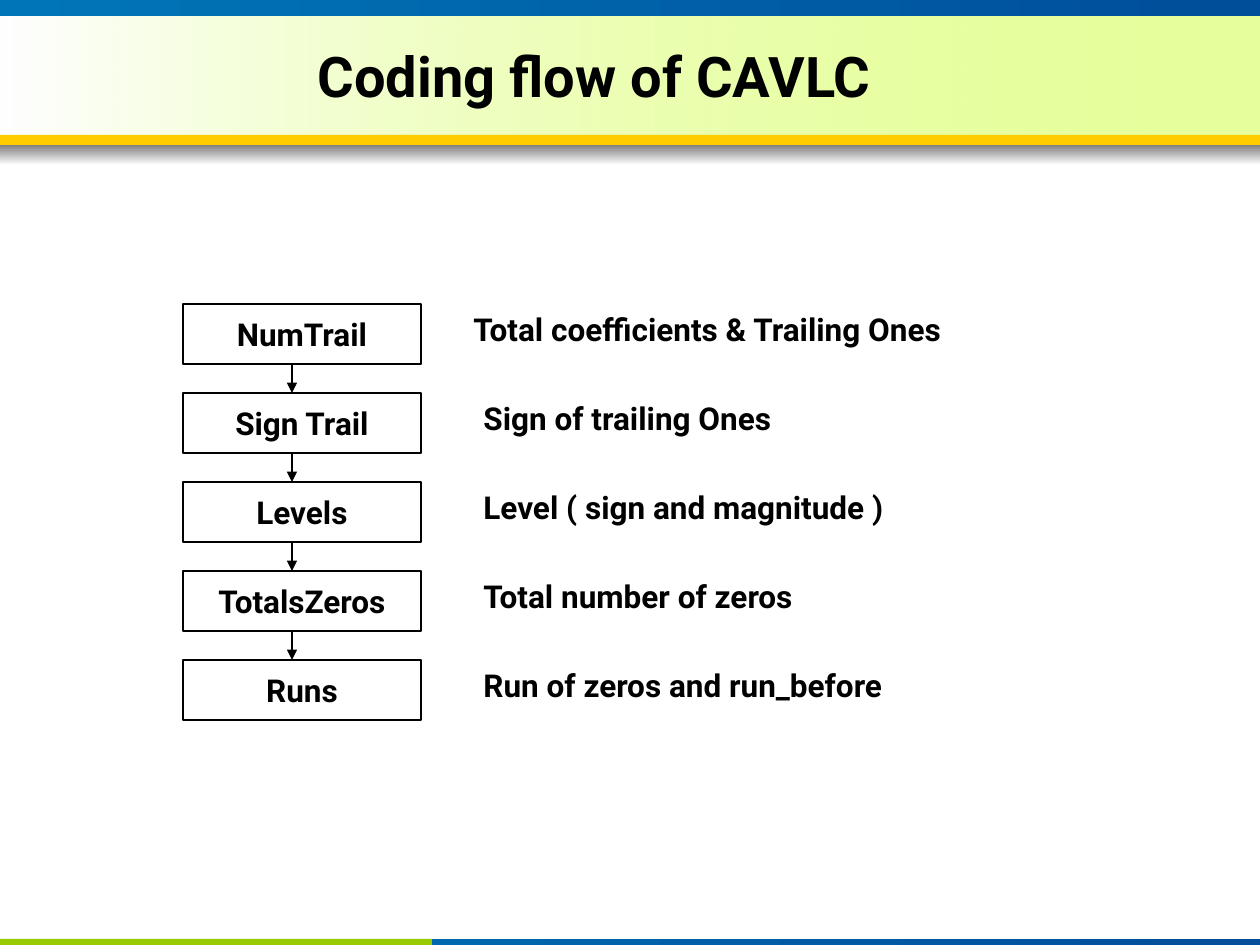
import pptx
import pptx.util
from pptx.dml.color import RGBColor
from pptx.enum.shapes import MSO_CONNECTOR, MSO_SHAPE
from pptx.enum.text import MSO_ANCHOR, PP_ALIGN
from pptx.oxml.ns import qn
import lxml.etree as etree

PX = 914400 / 126
WIDTH, HEIGHT = 1260, 945
FONT = "Roboto"

BLACK = RGBColor(0x00, 0x00, 0x00)
WHITE = RGBColor(0xFF, 0xFF, 0xFF)
GRAY = RGBColor(0x80, 0x80, 0x80)
LIME = RGBColor(0xCC, 0xFF, 0x33)
GREEN = RGBColor(0x99, 0xCC, 0x00)
GOLD = RGBColor(0xFF, 0xCC, 0x00)
BLUE = RGBColor(0x00, 0x76, 0xB8)
NAVY = RGBColor(0x00, 0x4D, 0x9A)

STEPS = [
    ("NumTrail", "Total coefficients & Trailing Ones"),
    ("Sign Trail", "Sign of trailing Ones"),
    ("Levels", "Level ( sign and magnitude )"),
    ("TotalsZeros", "Total number of zeros"),
    ("Runs", "Run of zeros and run_before"),
]


def emu(*lengths):
    return [pptx.util.Emu(round(n * PX)) for n in lengths]


def set_text(sp, text, size, align, anchor, wrap=True):
    tf = sp.text_frame
    tf.word_wrap = wrap
    tf.vertical_anchor = anchor
    p = tf.paragraphs[0]
    p.text = text
    p.alignment = align
    p.font.name = FONT
    p.font.size = pptx.util.Pt(size)
    p.font.bold = True
    p.font.color.rgb = BLACK


def add_text(s, x, y, w, h, text, size, align=PP_ALIGN.LEFT, anchor=MSO_ANCHOR.TOP):
    sp = s.shapes.add_textbox(*emu(x, y, w, h))
    set_text(sp, text, size, align, anchor)


def add_band(s, x, y, w, h, start, end=None, angle=0, end_opacity=100):
    """Borderless strip: solid in start, or a gradient from start to end."""
    sp = s.shapes.add_shape(MSO_SHAPE.RECTANGLE, *emu(x, y, w, h))
    sp.shadow.inherit = False
    sp.line.fill.background()
    if end is None:
        sp.fill.solid()
        sp.fill.fore_color.rgb = start
        return
    sp.fill.gradient()
    sp.fill.gradient_angle = angle
    for stop, color in zip(sp.fill.gradient_stops, (start, end)):
        stop.color.rgb = color
    if end_opacity < 100:
        last = sp._element.spPr.findall(".//" + qn("a:srgbClr"))[-1]
        etree.SubElement(last, qn("a:alpha")).set("val", str(end_opacity * 1000))


def add_header(s, x, y, w):
    add_band(s, x, y + 16, w, 120, WHITE, LIME, end_opacity=48)
    add_band(s, x, y, w, 16, BLUE, NAVY)
    add_band(s, x, y + 135, w, 10, GOLD)
    add_band(s, x, y + 145, w, 20, GRAY, WHITE, angle=270)
    add_text(s, x + 34, y + 16, 1121, 118, "Coding flow of CAVLC", 32,
             PP_ALIGN.CENTER, MSO_ANCHOR.MIDDLE)


def add_footer(s, x, y, w, h):
    add_band(s, x, y, w, h, BLUE, NAVY)
    add_band(s, x, y, 432, h, GREEN)


def add_step(s, x, y, w, h, name):
    sp = s.shapes.add_shape(MSO_SHAPE.RECTANGLE, *emu(x, y, w, h))
    sp.shadow.inherit = False
    sp.fill.background()
    sp.line.color.rgb = BLACK
    sp.line.width = pptx.util.Pt(0.75)
    set_text(sp, name, 18, PP_ALIGN.CENTER, MSO_ANCHOR.MIDDLE, wrap=False)


def add_arrow(s, x, top, bottom):
    cx = s.shapes.add_connector(MSO_CONNECTOR.STRAIGHT, *emu(x, top, x, bottom))
    cx.line.color.rgb = BLACK
    cx.line.width = pptx.util.Pt(0.75)
    etree.SubElement(cx.line._get_or_add_ln(), qn("a:tailEnd")).set("type", "triangle")
    etree.SubElement(cx._element.spPr, qn("a:effectLst"))


def add_flow(s, x, y):
    """Column of steps joined by arrows, with a description beside each."""
    box_w, box_h, pitch = 238, 60, 89
    for i, (name, description) in enumerate(STEPS):
        top = y + i * pitch
        add_step(s, x, top, box_w, box_h, name)
        if i < len(STEPS) - 1:
            add_arrow(s, x + 109, top + box_h, top + pitch)
        indent, width = (278, 684) if i == 0 else (288, 525)
        add_text(s, x + indent, top, width, 50, description, 18)


def main():
    prs = pptx.Presentation()
    prs.slide_width, prs.slide_height = emu(WIDTH, HEIGHT)
    s = prs.slides.add_slide(prs.slide_layouts[6])
    add_header(s, 0, 0, WIDTH)
    add_footer(s, 0, 939, WIDTH, 6)
    add_flow(s, 183, 304)
    prs.save("out.pptx")


if __name__ == "__main__":
    main()
